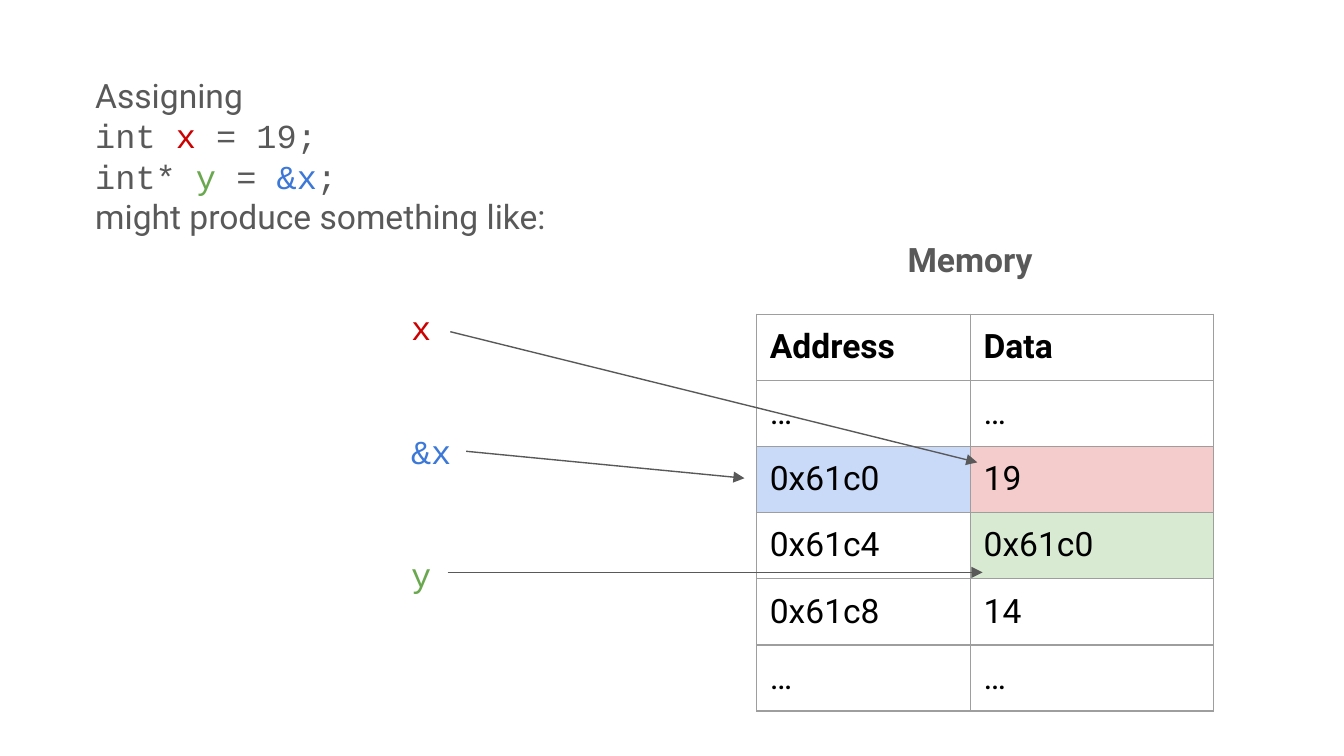
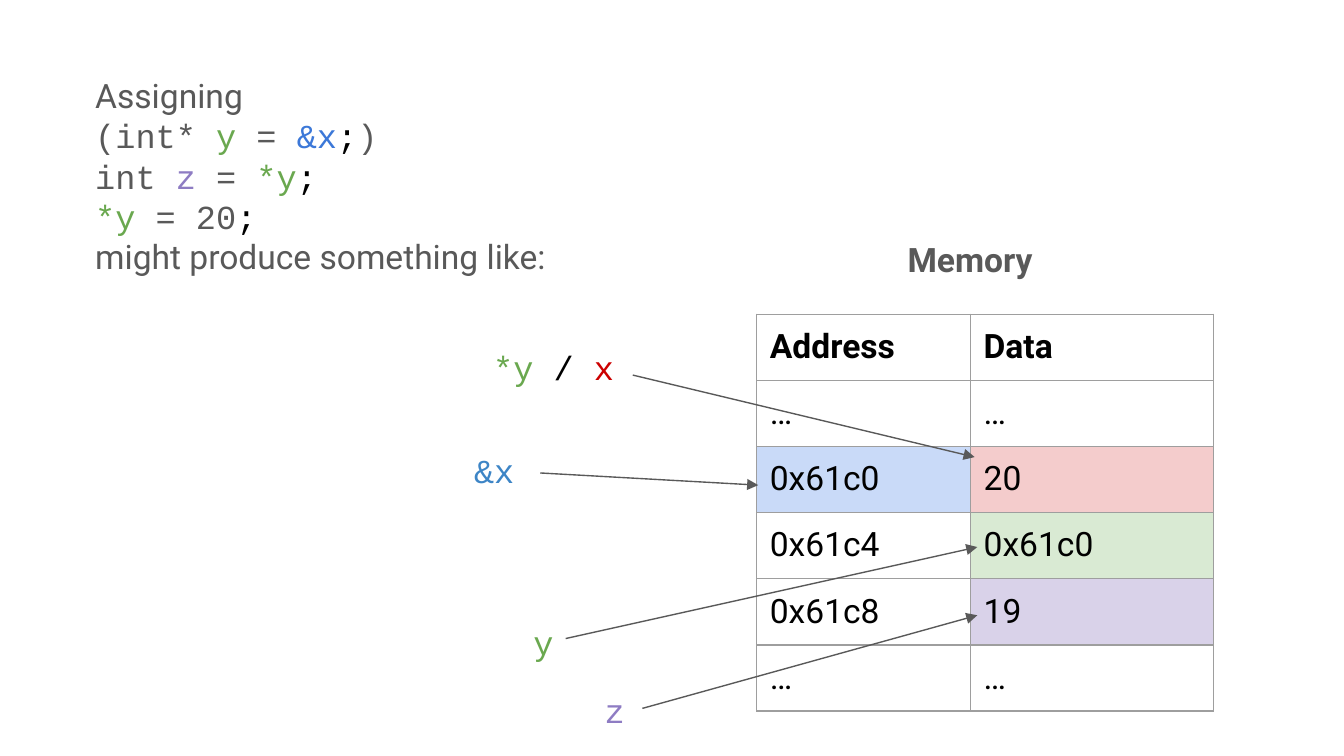
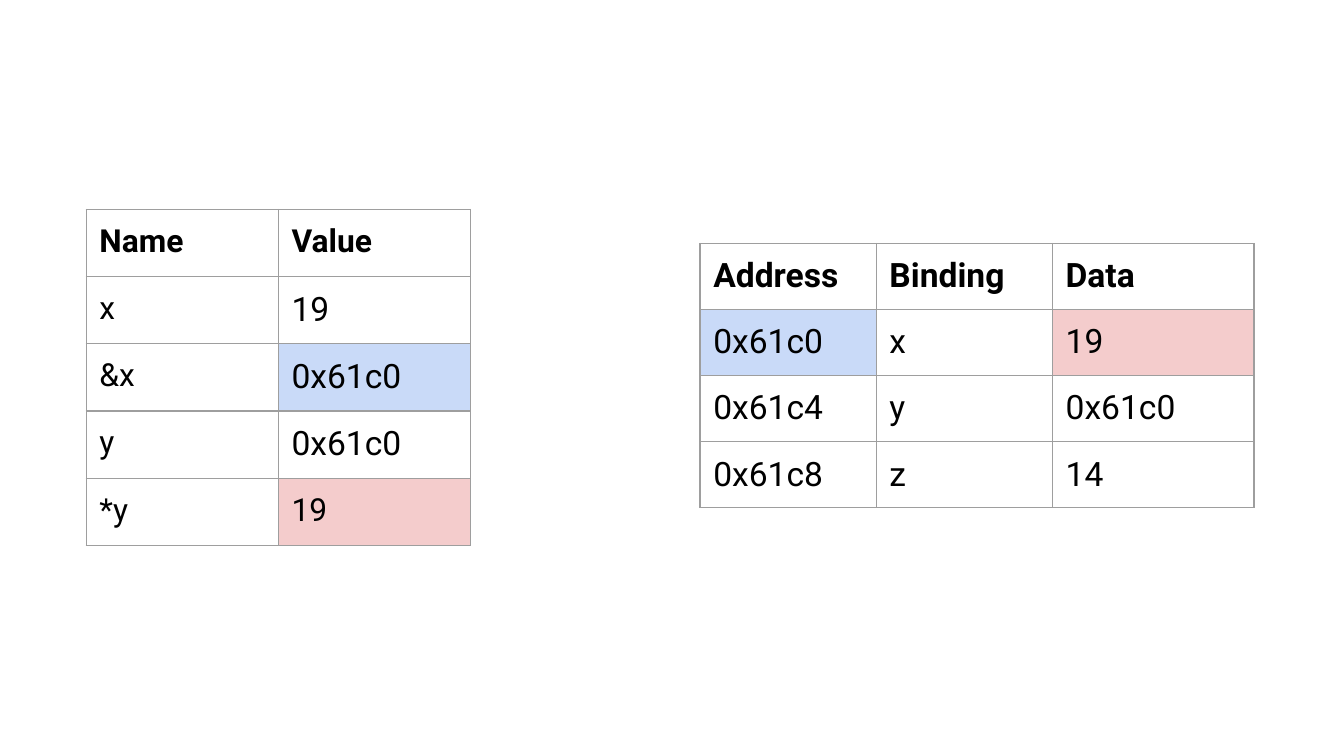
from lxml import etree
from pptx import Presentation, util as u
from pptx.dml.color import RGBColor
from pptx.enum import shapes, text
from pptx.oxml.ns import qn

# Shared look
SANS, MONO = "Roboto", "Courier New"
GREY, BLACK, WHITE, RULE = "595959", "000000", "FFFFFF", "9E9E9E"
RED, BLUE, GREEN, PURPLE, SKY = "CC0000", "3C78D8", "6AA84F", "8E7CC3", "3D85C6"
PALE_RED, PALE_BLUE, PALE_GREEN, PALE_PURPLE = "F4CCCC", "C9DAF8", "D9EAD3", "D9D2E9"
INSET = u.Cm(0.25)
LINE_WIDTH = u.Pt(0.75)


def memory_rows(x_data, z_data):
    return [
        ["Address", "Data"],
        ["…", "…"],
        [("0x61c0", PALE_BLUE), (x_data, PALE_RED)],
        ["0x61c4", ("0x61c0", PALE_GREEN)],
        ["0x61c8", z_data],
        ["…", "…"],
    ]


# Content: a line is (font, runs), a run is (words, colour); places are in cm
OPENING = (SANS, [("Assigning", GREY)])
CLOSING = (SANS, [("might produce something like:", GREY)])

MEMORY_SLIDES = [
    {
        "memory": memory_rows("19", "14"),
        "code": [
            (MONO, [("int ", GREY), ("x", RED), (" = 19;", GREY)]),
            (MONO, [("int* ", GREY), ("y", GREEN), (" = ", GREY), ("&x", BLUE), (";", GREY)]),
        ],
        "names": [
            ((7.52, 5.56, 11.4, 5.89),
             [(MONO, [("x", RED)]), (MONO, [("&x", BLUE)]), (MONO, [("y", GREEN)])]),
        ],
        "arrows": [
            (8.51, 6.27, 18.47, 8.74),
            (8.81, 8.53, 14.07, 9.04),
            (8.46, 10.82, 18.57, 10.82),
        ],
    },
    {
        "memory": memory_rows("20", ("19", PALE_PURPLE)),
        "code": [
            (MONO, [("(int* ", GREY), ("y", GREEN), (" = ", GREY), ("&x", BLUE),
                    (";", BLACK), (")", GREY)]),
            (MONO, [("int ", GREY), ("z", PURPLE), (" = ", GREY), ("*y", GREEN), (";", BLACK)]),
            (MONO, [("*y ", GREEN), ("= 20", GREY), (";", BLACK)]),
        ],
        "names": [
            ((9.07, 6.3, 3.56, 1.27), [(MONO, [("*y ", GREEN), ("/ ", BLACK), ("x", RED)])]),
            ((8.71, 8.26, 3.56, 1.27), [(MONO, [("&x", SKY)])]),
            ((9.83, 11.51, 3.56, 1.27), [(MONO, [("y", GREEN)])]),
            ((11.18, 12.8, 3.56, 1.27), [(MONO, [("z", PURPLE)])]),
        ],
        "arrows": [
            (11.96, 7.09, 18.42, 8.64),
            (10.21, 8.94, 14.33, 9.17),
            (10.69, 12.07, 18.47, 10.34),
            (12.14, 13.39, 18.47, 11.63),
        ],
    },
]

BINDINGS = [
    ["Address", "Binding", "Data"],
    [("0x61c0", PALE_BLUE), "x", ("19", PALE_RED)],
    ["0x61c4", "y", "0x61c0"],
    ["0x61c8", "z", "14"],
]
VALUES = [
    ["Name", "Value"],
    ["x", "19"],
    ["&x", ("0x61c0", PALE_BLUE)],
    ["y", "0x61c0"],
    ["*y", ("19", PALE_RED)],
]
LARGER_VALUES = {(1, 1), (2, 1), (3, 1)}


def colour(hex_code):
    return RGBColor.from_string(hex_code)


def set_insets(holder):
    holder.margin_left = holder.margin_right = INSET
    holder.margin_top = holder.margin_bottom = INSET


def add_lines(slide, place, lines, gap=0, bold=False, align=text.PP_ALIGN.LEFT):
    """Text box with one paragraph per line, gap points apart."""
    frame = slide.shapes.add_textbox(*map(u.Cm, place)).text_frame
    frame.word_wrap = True
    frame.auto_size = text.MSO_AUTO_SIZE.SHAPE_TO_FIT_TEXT
    set_insets(frame)
    for i, (font, runs) in enumerate(lines):
        paragraph = frame.add_paragraph() if i else frame.paragraphs[0]
        paragraph.alignment = align
        paragraph.space_before = u.Pt(gap if i else 0)
        paragraph.font.name, paragraph.font.size = font, u.Pt(18)
        paragraph.font.bold = bold
        for words, hex_code in runs:
            run = paragraph.add_run()
            run.text = words
            run.font.color.rgb = colour(hex_code)


def add_arrow(slide, ends):
    arrow = slide.shapes.add_connector(shapes.MSO_CONNECTOR.STRAIGHT, *map(u.Cm, ends))
    arrow.line.color.rgb = colour(GREY)
    arrow.line.width = LINE_WIDTH
    etree.SubElement(arrow.line._get_or_add_ln(), qn("a:tailEnd"), type="triangle")
    etree.SubElement(arrow._element.spPr, qn("a:effectLst"))


def add_borders(cell):
    properties = cell._tc.get_or_add_tcPr()
    for i, side in enumerate(("lnL", "lnR", "lnT", "lnB")):
        border = etree.Element(qn("a:" + side), w=str(LINE_WIDTH))
        fill = etree.SubElement(border, qn("a:solidFill"))
        etree.SubElement(fill, qn("a:srgbClr"), val=RULE)
        properties.insert(i, border)


def add_grid(slide, left, top, widths, row_height, rows, size=18, larger=()):
    """Table with a bold header row; a cell is its words, or (words, fill)."""
    grid = slide.shapes.add_table(
        len(rows), len(widths), u.Cm(left), u.Cm(top),
        u.Cm(sum(widths)), u.Cm(row_height * len(rows))).table
    grid.first_row = grid.horz_banding = False
    for column, width in zip(grid.columns, widths):
        column.width = u.Cm(width)
    for r, row in enumerate(rows):
        grid.rows[r].height = u.Cm(row_height)
        for c, entry in enumerate(row):
            words, fill = (entry, WHITE) if isinstance(entry, str) else entry
            cell = grid.cell(r, c)
            cell.text = words
            set_insets(cell)
            cell.fill.solid()
            cell.fill.fore_color.rgb = colour(fill)
            add_borders(cell)
            font = cell.text_frame.paragraphs[0].font
            font.name, font.bold = SANS, r == 0
            font.size = u.Pt(18 if (r, c) in larger else size)
            font.color.rgb = colour(BLACK)


def add_memory_slide(slide, content):
    add_grid(slide, 14.3, 5.94, (4.04, 4.6), 1.25, content["memory"])
    add_lines(slide, (15.49, 4.27, 5.69, 1.27), [(SANS, [("Memory", GREY)])],
              bold=True, align=text.PP_ALIGN.CENTER)
    code = [OPENING, *content["code"], CLOSING]
    add_lines(slide, (1.55, 1.17, 11.4, 0.5 + 0.77 * len(code)), code)
    for place, lines in content["names"]:
        add_lines(slide, place, lines, gap=44.4)
    for ends in content["arrows"]:
        add_arrow(slide, ends)


def main():
    deck = Presentation()
    deck.slide_width, deck.slide_height = u.Cm(25.4), u.Cm(14.29)
    blank = deck.slide_layouts[6]

    # Variables, pointers and memory
    for content in MEMORY_SLIDES:
        add_memory_slide(deck.slides.add_slide(blank), content)

    # Bindings next to values
    summary = deck.slides.add_slide(blank)
    add_grid(summary, 13.23, 4.6, (3.33, 3.33, 3.81), 1.25, BINDINGS)
    add_grid(summary, 1.63, 3.96, (3.63, 3.63), 1.27, VALUES, size=17, larger=LARGER_VALUES)

    deck.save("out.pptx")


if __name__ == "__main__":
    main()
